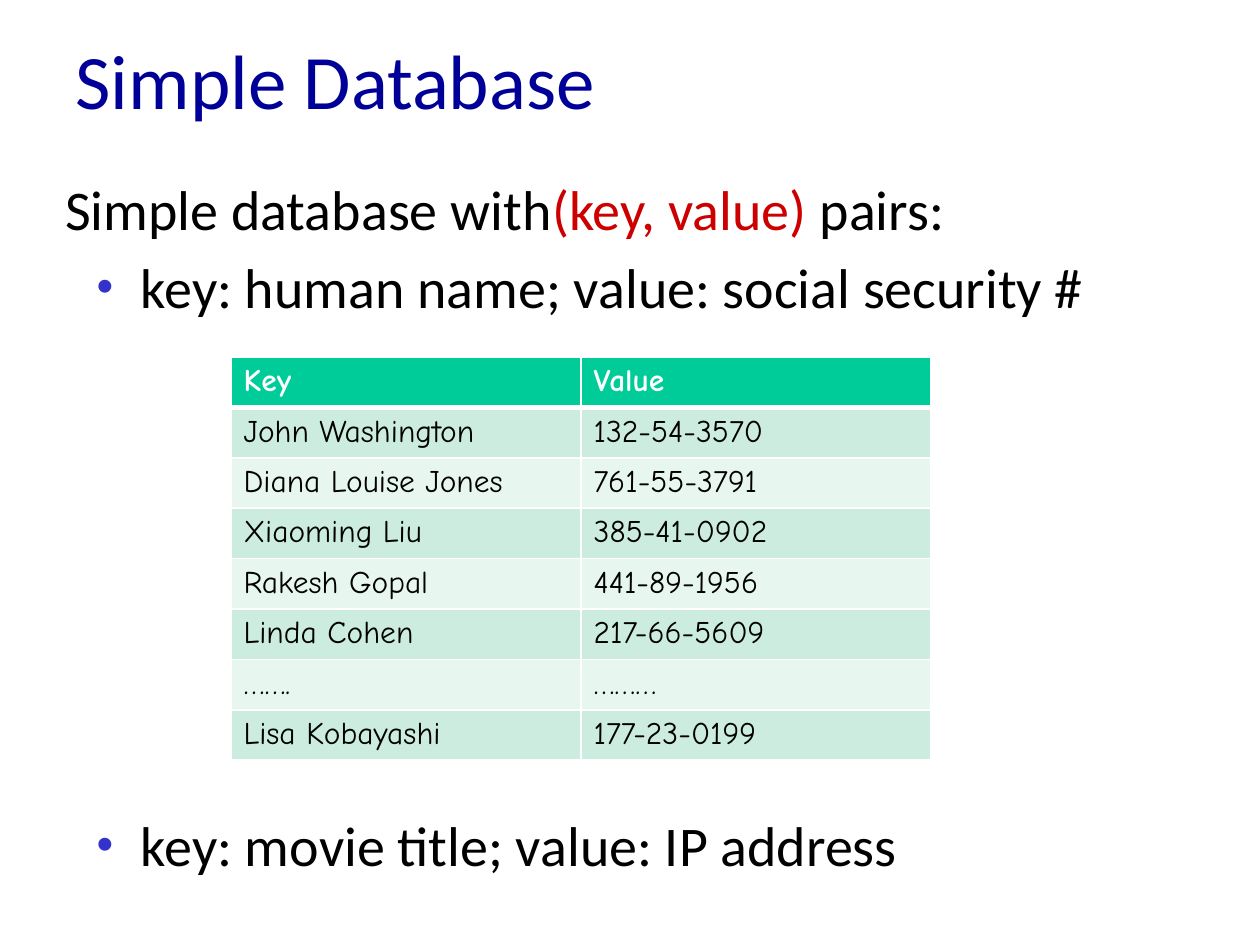
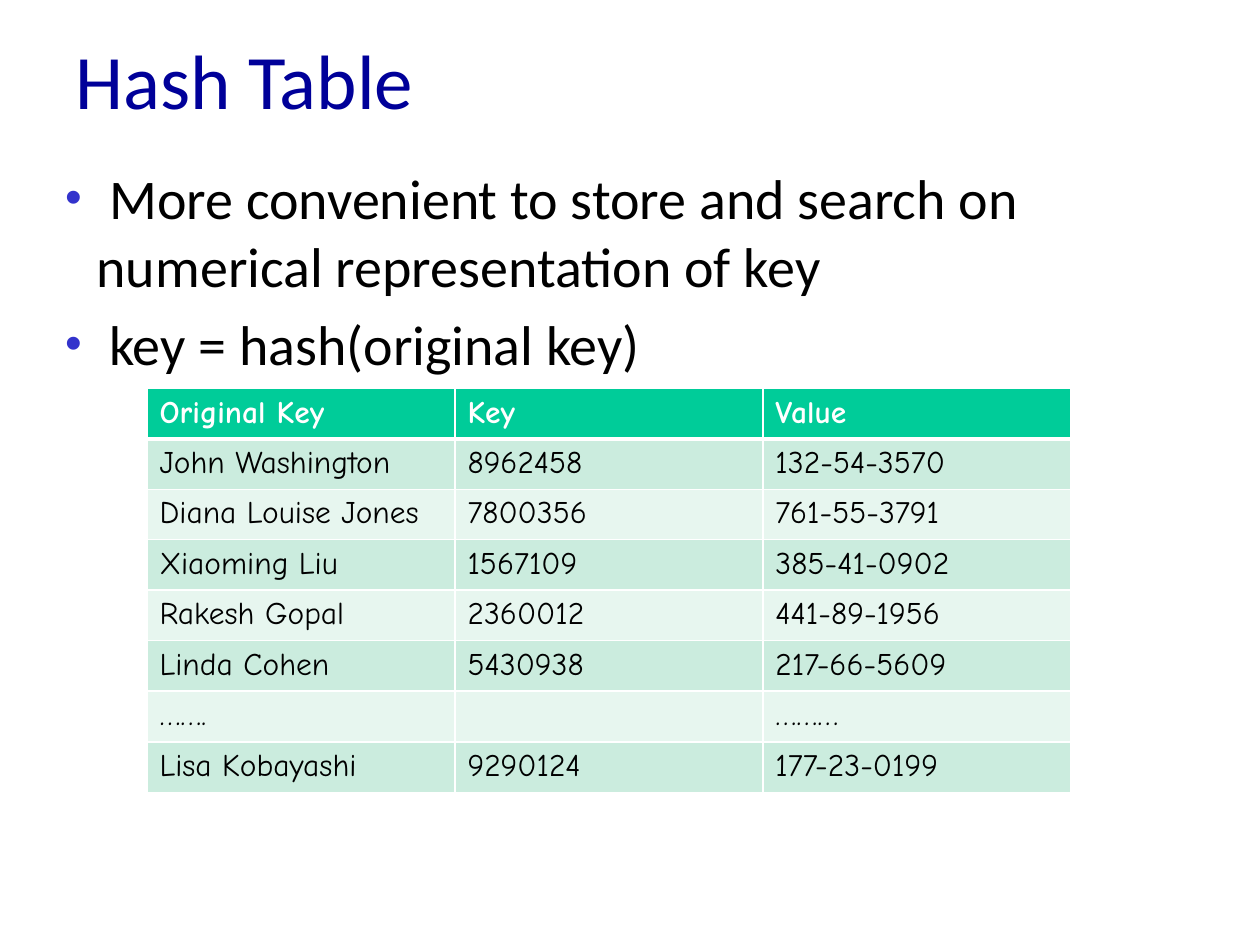
from dataclasses import dataclass
from typing import Any, NamedTuple

from lxml.etree import SubElement
from pptx import Presentation
from pptx.dml.color import RGBColor
from pptx.enum.text import MSO_ANCHOR, MSO_AUTO_SIZE, PP_ALIGN
from pptx.oxml import parse_xml
from pptx.oxml.ns import nsdecls, qn
from pptx.util import Pt


@dataclass(frozen=True)
class Theme:
    title: str = "000099"
    text: str = "000000"
    accent: str = "CC0000"
    bullet: str = "3333CC"
    header: str = "00CC99"
    bands: tuple[str, str] = ("CBECDE", "E7F6EF")
    white: str = "FFFFFF"
    text_font: str = "Calibri"
    table_font: str = "Comic Neue"
    title_size: float = 44
    body_size: float = 32
    table_size: float = 18
    indent: float = 18
    row_height: float = 28.8
    thin_line: float = 1
    header_line: float = 3


THEME = Theme()


class Box(NamedTuple):
    left: float
    top: float
    width: float
    height: float


class Span(NamedTuple):
    text: str
    color: str = THEME.text


class Line(NamedTuple):
    spans: list[Span]
    level: int = 0
    bulleted: bool = True


class Record(NamedTuple):
    name: str
    hashed: str
    number: str


TITLE_BOX = Box(36, 0, 648, 90)
RECORDS = [
    Record("John Washington", "8962458", "132-54-3570"),
    Record("Diana Louise Jones", "7800356", "761-55-3791"),
    Record("Xiaoming Liu", "1567109", "385-41-0902"),
    Record("Rakesh Gopal", "2360012", "441-89-1956"),
    Record("Linda Cohen", "5430938", "217-66-5609"),
    Record("…….", "", "………"),
    Record("Lisa Kobayashi", "9290124", "177-23-0199"),
]


def assign(target: Any, values: dict[str, Any]) -> None:
    for attribute, value in values.items():
        setattr(target, attribute, value)


def place(shape: Any, box: Box) -> None:
    assign(shape, {side: Pt(length) for side, length in box._asdict().items()})


def add_run(paragraph: Any, span: Span, font: str, size: float, bold: bool = False) -> None:
    run = paragraph.add_run()
    run.text = span.text
    assign(run.font, {"name": font, "size": Pt(size), "bold": bold})
    run.font.color.rgb = RGBColor.from_string(span.color)


def set_bullet(paragraph: Any, line: Line) -> None:
    properties = paragraph._p.get_or_add_pPr()
    margin = THEME.indent * (line.level + 1) if line.bulleted else 0
    properties.set("marL", str(Pt(margin)))
    properties.set("indent", str(Pt(-THEME.indent if line.bulleted else 0)))
    if not line.bulleted:
        SubElement(properties, qn("a:buNone"))
        return
    color = SubElement(properties, qn("a:buClr"))
    SubElement(color, qn("a:srgbClr"), val=THEME.bullet)
    SubElement(properties, qn("a:buSzPct"), val="85000")
    SubElement(properties, qn("a:buFont"), typeface="Arial")
    SubElement(properties, qn("a:buChar"), char="•")


def fill_title(slide: Any, text: str) -> None:
    title = slide.shapes.title
    place(title, TITLE_BOX)
    assign(title.text_frame, {"vertical_anchor": MSO_ANCHOR.MIDDLE, "word_wrap": True})
    paragraph = title.text_frame.paragraphs[0]
    paragraph.alignment = PP_ALIGN.LEFT
    add_run(paragraph, Span(text, THEME.title), THEME.text_font, THEME.title_size)


def fill_body(body: Any, box: Box, lines: list[Line]) -> None:
    place(body, box)
    frame = body.text_frame
    assign(frame, {"auto_size": MSO_AUTO_SIZE.NONE, "word_wrap": True,
                   "vertical_anchor": MSO_ANCHOR.TOP})
    for number, line in enumerate(lines):
        paragraph = frame.add_paragraph() if number else frame.paragraphs[0]
        assign(paragraph, {"level": line.level, "alignment": PP_ALIGN.LEFT,
                           "space_before": Pt(0.2 * THEME.body_size)})
        set_bullet(paragraph, line)
        for span in line.spans:
            add_run(paragraph, span, THEME.text_font, THEME.body_size)


def set_borders(cell: Any, row: int) -> None:
    """Draw white cell borders, with a heavier rule below the header row."""
    widths = {
        "L": THEME.thin_line,
        "R": THEME.thin_line,
        "T": THEME.header_line if row == 1 else THEME.thin_line,
        "B": THEME.header_line if row == 0 else THEME.thin_line,
    }
    properties = cell._tc.get_or_add_tcPr()
    for position, (side, width) in enumerate(widths.items()):
        border = parse_xml(
            f'<a:ln{side} {nsdecls("a")} w="{Pt(width)}"><a:solidFill>'
            f'<a:srgbClr val="{THEME.white}"/></a:solidFill></a:ln{side}>'
        )
        properties.insert(position, border)


def add_records(slide: Any, left: float, top: float, column_width: float,
                rows: list[tuple[str, ...]]) -> None:
    columns = len(rows[0])
    table = slide.shapes.add_table(
        len(rows), columns, Pt(left), Pt(top),
        Pt(column_width * columns), Pt(THEME.row_height * len(rows)),
    ).table
    table.horz_banding = False
    for row, values in enumerate(rows):
        is_header = row == 0
        fill = THEME.header if is_header else THEME.bands[(row - 1) % 2]
        color = THEME.white if is_header else THEME.text
        for column, value in enumerate(values):
            cell = table.cell(row, column)
            cell.fill.solid()
            cell.fill.fore_color.rgb = RGBColor.from_string(fill)
            set_borders(cell, row)
            if value:
                add_run(cell.text_frame.paragraphs[0], Span(value, color),
                        THEME.table_font, THEME.table_size, is_header)


def add_simple_database(deck: Any) -> None:
    slide = deck.slides.add_slide(deck.slide_layouts.get_by_name("Two Content"))
    fill_title(slide, "Simple Database")
    add_records(slide, 132, 204, 200,
                [("Key", "Value")] + [(record.name, record.number) for record in RECORDS])
    intro = [Span("Simple database with"), Span("(key, value) ", THEME.accent), Span("pairs:")]
    fill_body(slide.placeholders[1], Box(30, 96, 690, 106), [
        Line(intro, bulleted=False),
        Line([Span(" key: human name; value: social security #")], level=1),
    ])
    fill_body(slide.placeholders[2], Box(30, 459.5, 690, 61), [
        Line([Span(" key: movie title; value: IP address")], level=1),
    ])


def add_hash_table(deck: Any) -> None:
    slide = deck.slides.add_slide(deck.slide_layouts.get_by_name("Title and Content"))
    fill_title(slide, "Hash Table")
    add_records(slide, 84, 222, 176, [("Original Key", "Key", "Value"), *RECORDS])
    fill_body(slide.placeholders[1], Box(30, 90, 636, 145), [
        Line([Span(" More convenient to store and search on numerical representation of key")]),
        Line([Span(" key = hash(original key)")]),
    ])


def main() -> None:
    deck = Presentation()
    assign(deck, {"slide_width": Pt(720), "slide_height": Pt(540)})
    add_simple_database(deck)
    add_hash_table(deck)
    deck.save("out.pptx")


if __name__ == "__main__":
    main()
